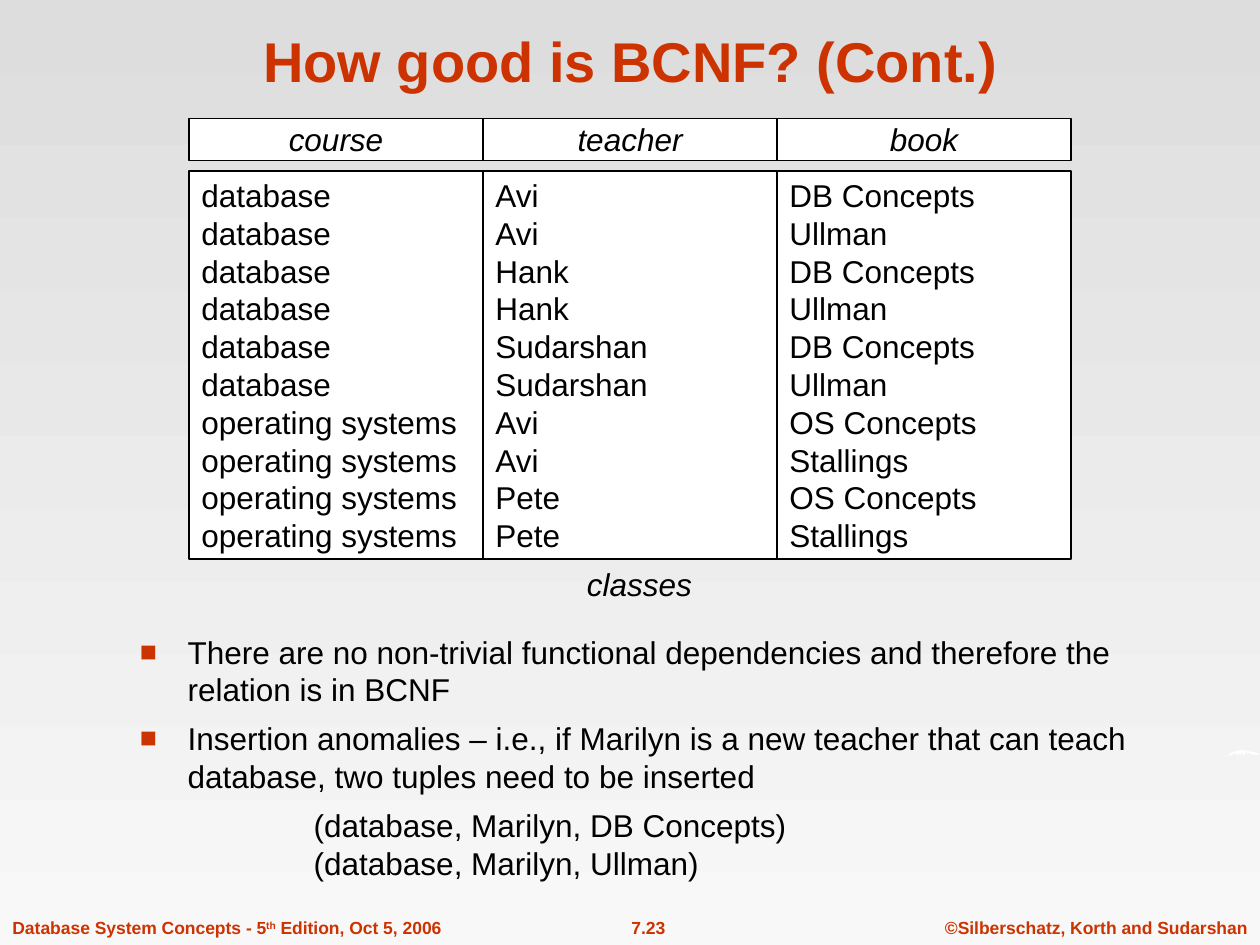
"""Build a slide on BCNF with a relation, its name and two bullet points."""
import itertools

import lxml.etree
import pptx
import pptx.dml.color
import pptx.enum.shapes
import pptx.enum.text
import pptx.oxml.ns
import pptx.util

RGB = pptx.dml.color.RGBColor
RED = RGB(0xCC, 0x33, 0x00)
BLACK = RGB(0x00, 0x00, 0x00)
WHITE = RGB(0xFF, 0xFF, 0xFF)
SKY = (RGB(0xDD, 0xDD, 0xDD), RGB(0xF8, 0xF8, 0xF8))

WIDE, HIGH = pptx.util.Inches(10), pptx.util.Inches(7.5)
LEFT, STEP = 15, 70 / 3

ALIGN = pptx.enum.text.PP_ALIGN
ANCHOR = pptx.enum.text.MSO_ANCHOR
FIT = pptx.enum.text.MSO_AUTO_SIZE
Pt = pptx.util.Pt

PLAIN = dict(name="Arial", size=Pt(18), bold=False, italic=False)
SLANT = dict(PLAIN, italic=True)
HEAD = dict(PLAIN, size=Pt(32), bold=True)
SMALL = dict(PLAIN, size=Pt(10), bold=True)

CLASSES = {
    "database": (("Avi", "Hank", "Sudarshan"), ("DB Concepts", "Ullman")),
    "operating systems": (("Avi", "Pete"), ("OS Concepts", "Stallings")),
}
POINTS = (
    "There are no non-trivial functional dependencies and therefore the relation is in BCNF",
    "Insertion anomalies – i.e., if Marilyn is a new teacher that can teach "
    "database, two tuples need to be inserted",
)
TUPLES = "(database, Marilyn, DB Concepts)\v(database, Marilyn, Ullman)"
FOOT = (
    (0, 36.2, ALIGN.LEFT, ("Database System Concepts - 5", "th", " Edition, Oct 5, 2006")),
    (49, 4.9, ALIGN.CENTER, ("7.23",)),
    (74, 26, ALIGN.CENTER, ("©Silberschatz, Korth and Sudarshan",)),
)
CURVE = (
    (97.5, 80.1), (97.6, 79.75), (97.9, 79.55), (98.3, 79.4), (98.6, 79.35),
    (99, 79.45), (99.5, 79.6), (100, 79.75), (99.8, 79.9), (99.2, 79.75),
    (98.8, 79.6), (98.8, 80), (98.5, 79.6), (98.5, 80), (98.2, 79.6),
    (98.3, 80), (98, 79.7), (97.7, 79.9),
)


def spot(left, top, wide, high):
    """Turn percentages of the slide's size into lengths."""
    return [int(whole * share / 100)
            for whole, share in zip((WIDE, HIGH) * 2, (left, top, wide, high))]


def style(part, look, color):
    """Give a run or paragraph its font values."""
    for key, value in look.items():
        setattr(part.font, key, value)
    part.font.color.rgb = color


def write(shape, lines, look, color, align=ALIGN.LEFT, **form):
    """Fill a shape with one styled paragraph per line."""
    frame = shape.text_frame
    frame.text = "\n".join(lines)
    for key, value in form.items():
        setattr(frame, key, value)
    for para in frame.paragraphs:
        para.alignment = align
        for run in para.runs:
            style(run, look, color)


def move(shape, place):
    """Set the place and size of a placeholder."""
    for key, value in zip(("left", "top", "width", "height"), spot(*place)):
        setattr(shape, key, value)


def cell(slide, place, lines, look, align):
    """Draw one bordered white box of the relation."""
    box = slide.shapes.add_shape(pptx.enum.shapes.MSO_SHAPE.RECTANGLE, *spot(*place))
    box.shadow.inherit = False
    box.fill.solid()
    box.fill.fore_color.rgb = WHITE
    box.line.color.rgb = BLACK
    box.line.width = Pt(0.75)
    write(box, lines, look, BLACK, align,
          word_wrap=False, vertical_anchor=ANCHOR.MIDDLE)


def relate(slide):
    """Draw the heads, the columns and the name of the relation."""
    rows = [(course, *pair) for course, sets in CLASSES.items()
            for pair in itertools.product(*sets)]
    names = ("course", "teacher", "book")
    for col, (name, items) in enumerate(zip(names, zip(*rows))):
        left = LEFT + col * STEP
        cell(slide, (left, 12.53, STEP, 4.44), [name], SLANT, ALIGN.CENTER)
        cell(slide, (left, 18.1, STEP, 41.07), items, PLAIN, ALIGN.LEFT)
    label = slide.shapes.add_textbox(*spot(45.6, 59.1, 10.6, 5.33))
    write(label, ["classes"], SLANT, BLACK,
          word_wrap=False, auto_size=FIT.SHAPE_TO_FIT_TEXT)


def mark(para, char=None):
    """Set a paragraph's bullet, or none."""
    props = para._p.get_or_add_pPr()

    def add(parent, tag, **values):
        return lxml.etree.SubElement(parent, pptx.oxml.ns.qn(tag), values)

    if char:
        add(add(props, "a:buClr"), "a:srgbClr", val=str(RED))
        add(props, "a:buSzPct", val="90000")
        add(props, "a:buFont", typeface="Arial")
        add(props, "a:buChar", char=char)
    else:
        add(props, "a:buNone")
    edge, shift = (0.38, -0.38) if char else (1.38, 0)
    props.set("marL", str(pptx.util.Inches(edge)))
    props.set("indent", str(pptx.util.Inches(shift)))


def body(shape):
    """Write the bullet points and the tuples below them."""
    move(shape, (10.1, 66.27, 85.8, 33.73))
    write(shape, (*POINTS, TUPLES), PLAIN, BLACK, auto_size=FIT.NONE)
    for num, para in enumerate(shape.text_frame.paragraphs):
        mark(para, "■" if num < len(POINTS) else None)
        para.space_before = Pt(6.3 if num else 0)
        style(para, PLAIN, BLACK)


def foot(slide):
    """Write the three notes along the lower edge."""
    for left, wide, align, parts in FOOT:
        box = slide.shapes.add_textbox(*spot(left, 96.4, wide, 3.6))
        box.text_frame.word_wrap = False
        box.text_frame.auto_size = FIT.SHAPE_TO_FIT_TEXT
        para = box.text_frame.paragraphs[0]
        para.alignment = align
        for part in parts:
            run = para.add_run()
            run.text = part
            style(run, SMALL, RED)
            if part == "th":
                run._r.get_or_add_rPr().set("baseline", "30000")


def curve(slide):
    """Draw the white stroke at the right edge."""
    dots = [spot(*dot, 0, 0)[:2] for dot in CURVE]
    pen = slide.shapes.build_freeform(*dots[0])
    pen.add_line_segments(dots[1:], close=True)
    shape = pen.convert_to_shape()
    shape.shadow.inherit = False
    shape.fill.solid()
    shape.fill.fore_color.rgb = WHITE
    shape.line.fill.background()


def main():
    """Build and save the slide."""
    deck = pptx.Presentation()
    deck.slide_width, deck.slide_height = WIDE, HIGH
    slide = deck.slides.add_slide(deck.slide_layouts[1])
    fill = slide.background.fill
    fill.gradient()
    fill.gradient_angle = 270
    for stop, color in zip(fill.gradient_stops, SKY):
        stop.color.rgb = color
    title, text = slide.placeholders
    move(title, (10.9, 1.7, 78.3, 8.9))
    write(title, ["How good is BCNF? (Cont.)"], HEAD, RED, ALIGN.CENTER,
          auto_size=FIT.NONE, vertical_anchor=ANCHOR.BOTTOM)
    body(text)
    foot(slide)
    curve(slide)
    relate(slide)
    deck.save("out.pptx")


if __name__ == "__main__":
    main()
